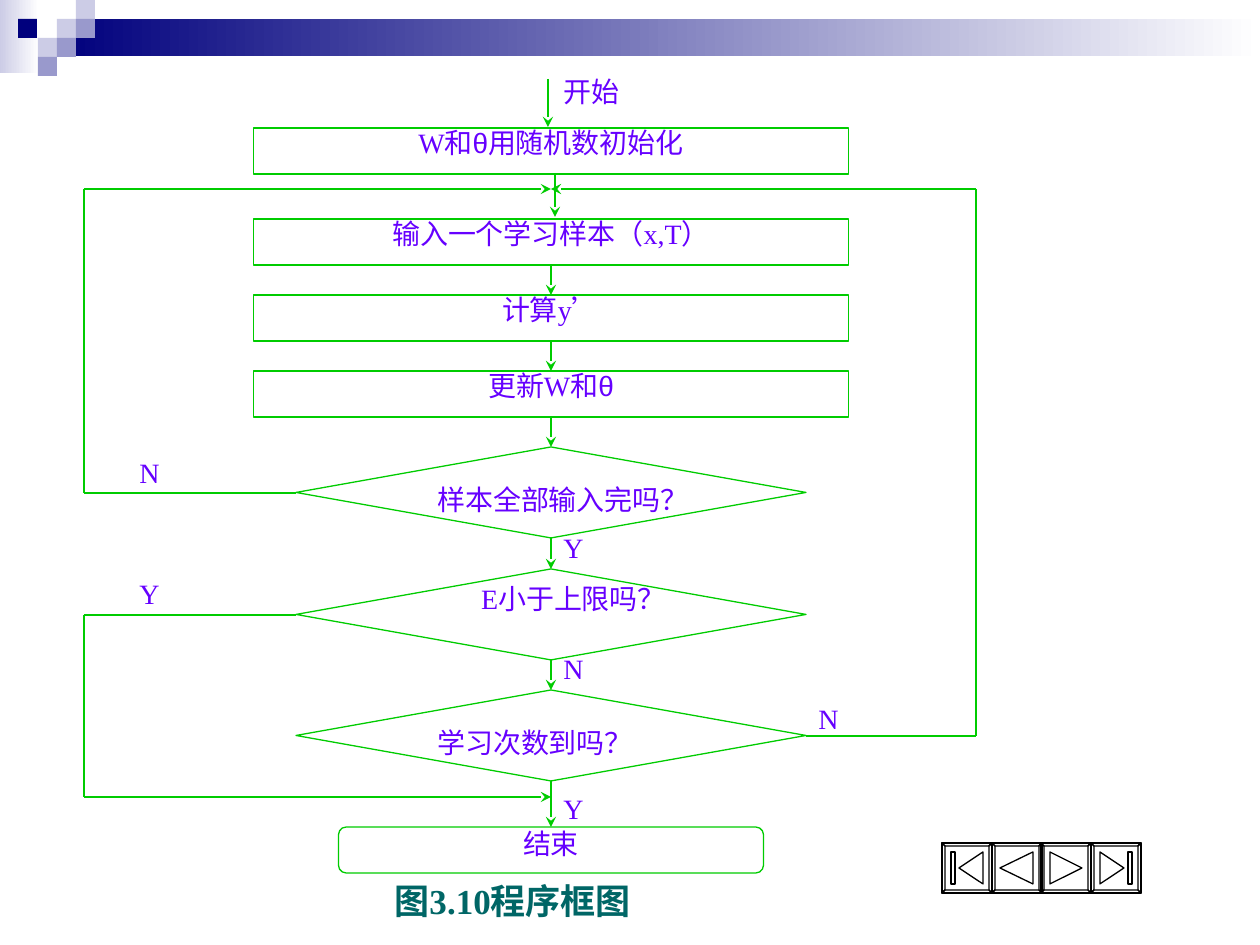
from itertools import pairwise

from lxml.etree import SubElement
from pptx import Presentation
from pptx.dml.color import RGBColor
from pptx.enum.shapes import MSO_CONNECTOR, MSO_SHAPE
from pptx.enum.text import MSO_ANCHOR, PP_ALIGN
from pptx.oxml.ns import qn
from pptx.util import Pt

SCALE = 914400 / 126
GREEN = RGBColor(0x00, 0xCC, 0x00)
VIOLET = RGBColor(0x66, 0x00, 0xFF)
TEAL = RGBColor(0x00, 0x66, 0x66)
NAVY = RGBColor(0x00, 0x00, 0x7D)
LILAC = RGBColor(0xCC, 0xCC, 0xE6)
MAUVE = RGBColor(0x99, 0x99, 0xCC)
WHITE = RGBColor(0xFF, 0xFF, 0xFF)
BLACK = RGBColor(0x00, 0x00, 0x00)

MID = 551
PROCESS = (MSO_SHAPE.FLOWCHART_PROCESS, 595, 46, None)
DECISION = (MSO_SHAPE.FLOWCHART_DECISION, 510, 91, WHITE)
FINISH = (MSO_SHAPE.FLOWCHART_ALTERNATE_PROCESS, 425, 46, WHITE)

# kind, top, runs of text
STEPS = [
    (PROCESS, 128, ["W和", "θ", "用随机数初始化"]),
    (PROCESS, 219, ["输入一个学习样本（x,T）"]),
    (PROCESS, 295, ["计算y’"]),
    (PROCESS, 371, ["更新W和", "θ"]),
    (DECISION, 447, []),
    (DECISION, 569, []),
    (DECISION, 690, []),
    (FINISH, 827, ["结束"]),
]
# top, text, alignment, line spacing
QUESTIONS = [
    (462, "样本全部输入完吗？", PP_ALIGN.JUSTIFY, 1.44),
    (584, "E小于上限吗？", PP_ALIGN.CENTER, 0.72),
    (705, "学习次数到吗？", PP_ALIGN.JUSTIFY, 1.44),
]
# left, top, text, line spacing
LABELS = [
    (MID, 68, "开始", None),
    (127, 449, "N", None),
    (127, 570, "Y", None),
    (MID, 524, "Y", None),
    (MID, 645, "N", None),
    (806, 706, "N", 0.64),
    (MID, 785, "Y", None),
]
# corner points, the last one carrying the arrowhead
ROUTES = [
    [(548, 79), (548, 127)],
    [(555, 173), (555, 217)],
    [(296, 493), (84, 493), (84, 189), (MID, 189)],
    [(806, 736), (976, 736), (976, 189), (MID, 189)],
    [(296, 615), (84, 615), (84, 797), (MID, 797)],
]
FADES = [(0, 0, 39, 73, LILAC), (57, 19, 1203, 37, NAVY)]
TILE = 19
TILES = [
    (57, 19, LILAC), (76, 0, LILAC), (76, 19, MAUVE), (38, 38, LILAC),
    (18, 19, NAVY), (57, 38, MAUVE), (38, 57, MAUVE),
]
# button left, then icon outlines relative to the button
BUTTONS = [
    (942, [[(17, 25), (41, 9), (41, 41)], [(9, 9), (13, 9), (13, 41), (9, 41)]]),
    (992, [[(8, 25), (41, 9), (41, 41)]]),
    (1041, [[(9, 9), (41, 25), (9, 41)]]),
    (1091, [[(33, 25), (9, 41), (9, 9)], [(37, 9), (37, 41), (41, 41), (41, 9)]]),
]
BUTTON_TOP, SIDE, BEVEL = 843, 50, 3


def px(*values):
    return [round(v * SCALE) for v in values]


def style(shape, fill, line=None):
    shape.shadow.inherit = False
    if fill is None:
        shape.fill.background()
    else:
        shape.fill.solid()
        shape.fill.fore_color.rgb = fill
    if line is None:
        shape.line.fill.background()
    else:
        shape.line.color.rgb = line
        shape.line.width = Pt(0.75)


def write(shape, runs, align, gap=None, size=16, color=VIOLET, bold=False):
    frame = shape.text_frame
    frame.word_wrap = True
    frame.vertical_anchor = MSO_ANCHOR.TOP
    para = frame.paragraphs[0]
    para.alignment = align
    if gap:
        para.line_spacing = gap
    for text in runs:
        run = para.add_run()
        run.text = text
        run.font.name = "Arial" if text == "θ" else "Times New Roman"
        run.font.size = Pt(size)
        run.font.bold = bold
        run.font.color.rgb = color


def add_note(shapes, box, text, align=PP_ALIGN.JUSTIFY, gap=None, **look):
    write(shapes.add_textbox(*px(*box)), [text], align, gap, **look)


def add_route(shapes, points):
    """Join the points with straight lines, ending in an arrowhead."""
    for start, end in pairwise(points):
        line = shapes.add_connector(MSO_CONNECTOR.STRAIGHT, *px(*start, *end))
        line.line.color.rgb = GREEN
        line.line.width = Pt(0.75)
        SubElement(line._element.spPr, qn("a:effectLst"))
    SubElement(line.line._get_or_add_ln(), qn("a:tailEnd"), type="stealth")


def add_banner(shapes):
    for *box, color in FADES:
        fade = shapes.add_shape(MSO_SHAPE.RECTANGLE, *px(*box))
        style(fade, WHITE)
        fade.fill.gradient()
        fade.fill.gradient_angle = 0
        for stop, tone in zip(fade.fill.gradient_stops, (color, WHITE)):
            stop.color.rgb = tone
    for left, top, color in TILES:
        tile = shapes.add_shape(MSO_SHAPE.RECTANGLE, *px(left, top, TILE, TILE))
        style(tile, color)


def add_button(shapes, left, icons):
    """Draw a bevelled square with its icon as one outline."""
    far = SIDE - BEVEL
    outer = [(0, 0), (SIDE, 0), (SIDE, SIDE), (0, SIDE)]
    inner = [(BEVEL, BEVEL), (far, BEVEL), (far, far), (BEVEL, far)]
    edges = [
        [outer[i], outer[(i + 1) % 4], inner[(i + 1) % 4], inner[i]]
        for i in range(4)
    ]
    pen = shapes.build_freeform(0, 0, scale=SCALE)
    for first, *rest in [outer, *edges, *icons]:
        pen.move_to(*first)
        pen.add_line_segments(rest, close=True)
    style(pen.convert_to_shape(*px(left, BUTTON_TOP)), WHITE, BLACK)


def main():
    deck = Presentation()
    deck.slide_width, deck.slide_height = px(1260, 945)
    shapes = deck.slides.add_slide(deck.slide_layouts[6]).shapes
    add_banner(shapes)
    for left, icons in BUTTONS:
        add_button(shapes, left, icons)
    for (kind, width, height, fill), top, runs in STEPS:
        box = px(MID - width / 2, top, width, height)
        step = shapes.add_shape(kind, *box)
        style(step, fill, GREEN)
        if runs:
            write(step, runs, PP_ALIGN.CENTER, 0.72)
    for (kind, top, _), (_, below, _) in pairwise(STEPS[1:]):
        add_route(shapes, [(MID, top + kind[2]), (MID, below)])
    for points in ROUTES:
        add_route(shapes, points)
    for top, text, align, gap in QUESTIONS:
        add_note(shapes, (425, top, 297, 76), text, align, gap)
    for left, top, text, gap in LABELS:
        add_note(shapes, (left, top, 170, 46), text, gap=gap)
    add_note(shapes, (382, 873, 484, 57), "图3.10程序框图",
             size=20, color=TEAL, bold=True)
    deck.save("out.pptx")


if __name__ == "__main__":
    main()
